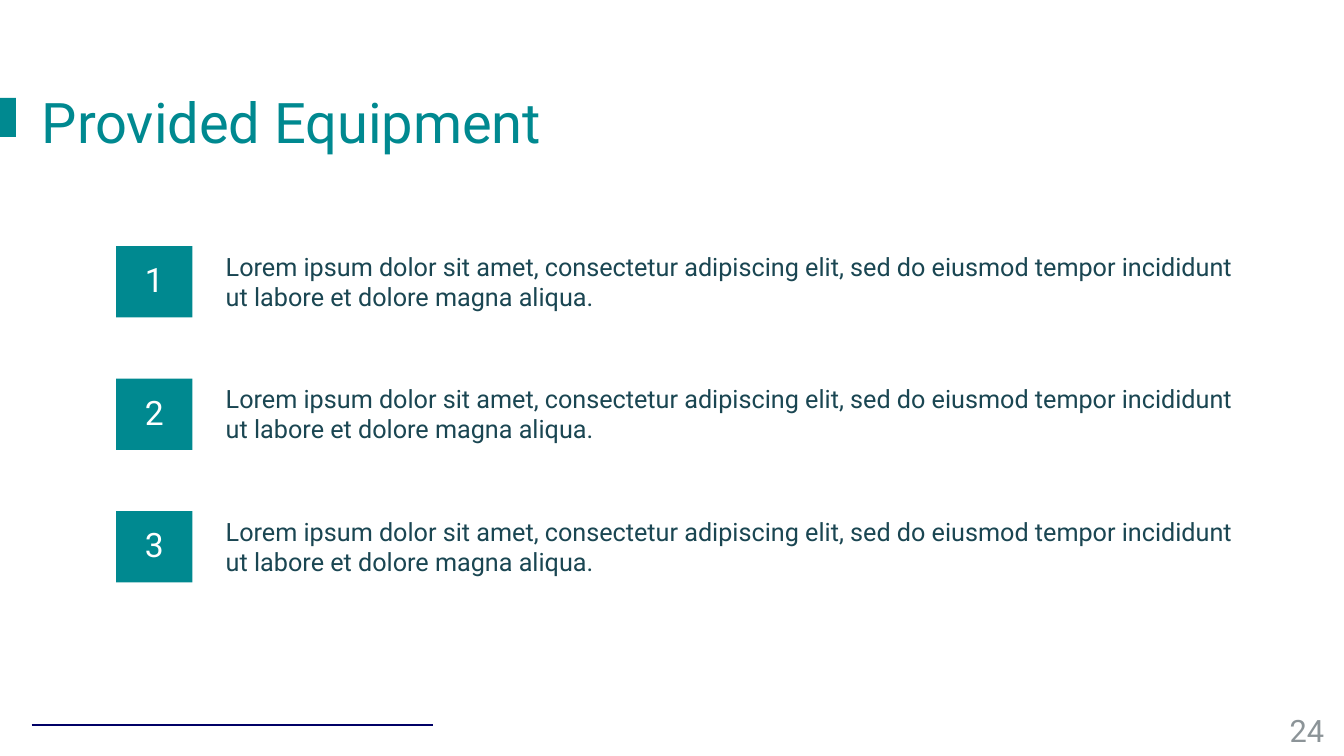
from lxml.etree import SubElement
from pptx import Presentation
from pptx.dml.color import RGBColor
from pptx.enum.shapes import MSO_CONNECTOR, MSO_SHAPE
from pptx.enum.text import MSO_ANCHOR, MSO_AUTO_SIZE, PP_ALIGN
from pptx.oxml.ns import qn
from pptx.util import Cm, Pt

TEAL = RGBColor(0x00, 0x89, 0x90)
NAVY = RGBColor(0x00, 0x00, 0x66)
SLATE = RGBColor(0x1A, 0x46, 0x52)
GRAY = RGBColor(0x8C, 0x94, 0x98)
WHITE = RGBColor(0xFF, 0xFF, 0xFF)

EQUIPMENT = [
    "Lorem ipsum dolor sit amet, consectetur adipiscing elit, "
    "sed do eiusmod tempor incididunt ut labore et dolore magna aliqua."
] * 3
FIRST_ROW_TOP = 6.2
ROW_PITCH = 3.34
ROW_HEIGHT = 1.8


def write_text(shape, text, size, color, alignment, anchor):
    frame = shape.text_frame
    frame.text = text
    frame.word_wrap = True
    frame.auto_size = MSO_AUTO_SIZE.NONE
    frame.vertical_anchor = anchor
    paragraph = frame.paragraphs[0]
    paragraph.alignment = alignment
    font = paragraph.runs[0].font
    font.name = "Roboto"
    font.size = Pt(size)
    font.color.rgb = color
    return paragraph


def add_teal_box(slide, left, top, width, height):
    box = slide.shapes.add_shape(MSO_SHAPE.RECTANGLE, Cm(left), Cm(top), Cm(width), Cm(height))
    box.shadow.inherit = False
    box.fill.solid()
    box.fill.fore_color.rgb = TEAL
    box.line.fill.background()
    return box


presentation = Presentation()
presentation.slide_width = Cm(33.87)
presentation.slide_height = Cm(19.05)
slide = presentation.slides.add_slide(presentation.slide_layouts[5])

title = slide.shapes.title
title.left, title.top, title.width, title.height = Cm(0.8), Cm(2.08), Cm(31), Cm(1.96)
write_text(title, "Provided Equipment", 40, TEAL, PP_ALIGN.LEFT, MSO_ANCHOR.TOP)

add_teal_box(slide, 0, 2.47, 0.4, 0.98)

footer_line = slide.shapes.add_connector(
    MSO_CONNECTOR.STRAIGHT, Cm(0.8), Cm(18.26), Cm(10.9), Cm(18.26)
)
footer_line.line.color.rgb = NAVY
footer_line.line.width = Pt(1.5)
SubElement(footer_line.element.spPr, qn("a:effectLst"))

page_number = slide.shapes.add_textbox(Cm(26), Cm(17.9), Cm(7.62), Cm(1.02))
write_text(page_number, "24", 22, GRAY, PP_ALIGN.RIGHT, MSO_ANCHOR.MIDDLE)

for index, description in enumerate(EQUIPMENT):
    top = FIRST_ROW_TOP + index * ROW_PITCH

    number_box = add_teal_box(slide, 2.93, top, 1.92, ROW_HEIGHT)
    number = write_text(number_box, str(index + 1), 24, WHITE, PP_ALIGN.CENTER, MSO_ANCHOR.MIDDLE)
    number.line_spacing = 0.9
    number.space_before = Pt(10)

    description_box = slide.shapes.add_textbox(Cm(5.44), Cm(top), Cm(26.37), Cm(ROW_HEIGHT))
    write_text(description_box, description, 18, SLATE, PP_ALIGN.LEFT, MSO_ANCHOR.TOP)

presentation.save("out.pptx")
